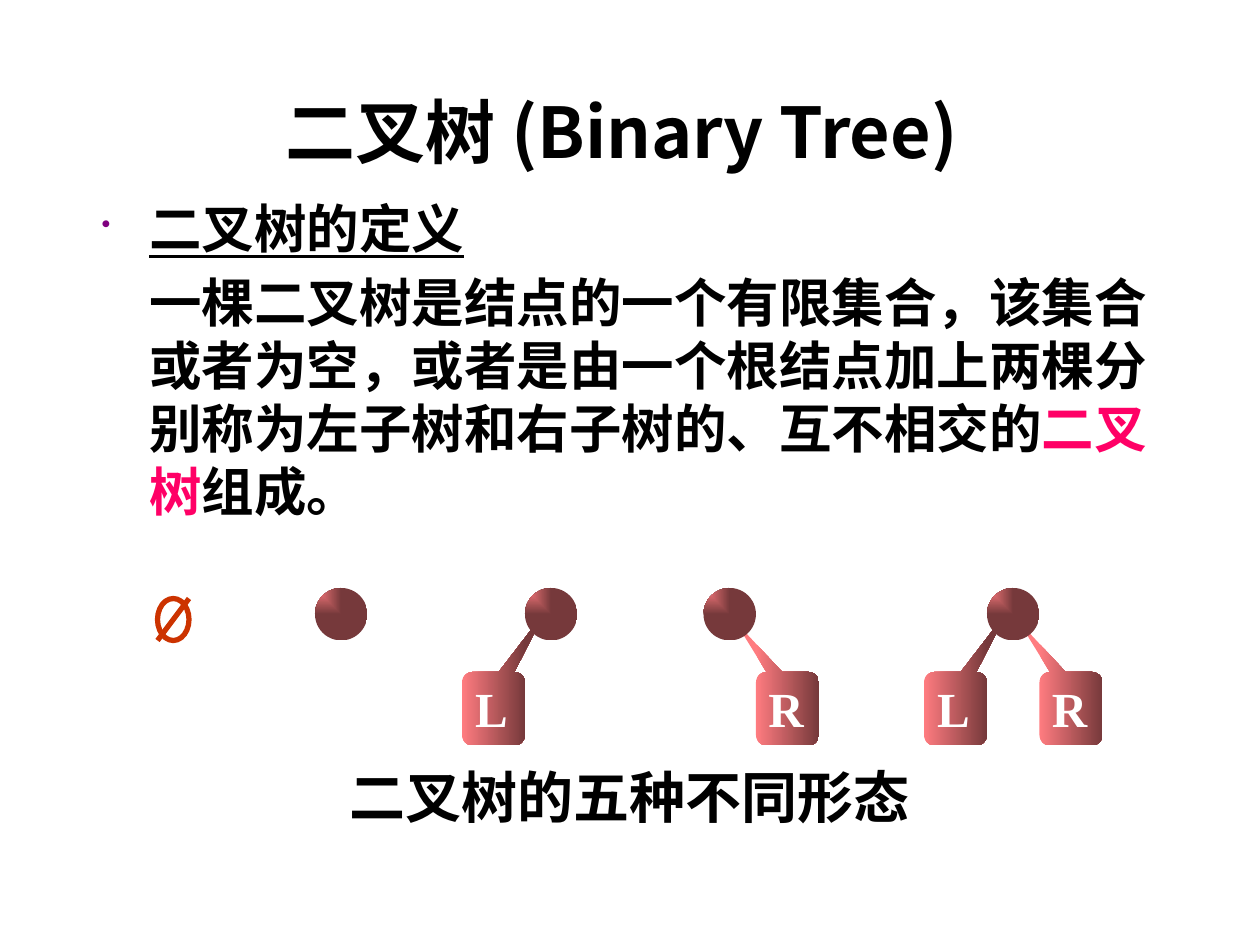
from lxml import etree
from pptx import Presentation
from pptx import util as u
from pptx.dml.color import RGBColor
from pptx.enum import shapes, text
from pptx.oxml import parse_xml
from pptx.oxml.ns import nsdecls, qn

BLACK = RGBColor(0x00, 0x00, 0x00)
WHITE = RGBColor(0xFF, 0xFF, 0xFF)
PINK = RGBColor(0xFF, 0x00, 0x66)
RUST = RGBColor(0xCC, 0x33, 0x00)
CORAL = RGBColor(0xFF, 0x7C, 0x80)
MAROON = RGBColor(0x76, 0x39, 0x3B)
SERIF, SANS = "Times New Roman", "Noto Sans CJK JP"

CELL = u.Inches(1) // 12  # the slide is a grid of 120 columns by 90 rows
ROOT_ROW, CHILD_ROW = 56, 64
ROOT_SIZE, CHILD_W, CHILD_H = 5, 6, 7

prs = Presentation()
prs.slide_width, prs.slide_height = 120 * CELL, 90 * CELL
s = prs.slides.add_slide(prs.slide_layouts[6])


def add_text(box, paragraphs, size, font=SERIF, **frame):
    """Add a text box; box is in cells, a paragraph is (format, [(text, font format)])."""
    tf = s.shapes.add_textbox(*(round(v * CELL) for v in box)).text_frame
    for name, value in {"word_wrap": True, **frame}.items():
        setattr(tf, name, value)
    for i, (layout, runs) in enumerate(paragraphs):
        p = tf.paragraphs[0] if i == 0 else tf.add_paragraph()
        for name, value in layout.items():
            setattr(p, name, value)
        for words, style in runs:
            r = p.add_run()
            r.text = words
            look = {"size": u.Pt(size), "name": font, "bold": True, **style}
            color = look.pop("color", BLACK)
            for name, value in look.items():
                setattr(r.font, name, value)
            r.font.color.rgb = color
            etree.SubElement(r.font._element, qn("a:ea"), typeface=SANS)
    return tf


def add_node(kind, col, row, width, height):
    """Add a coral-to-maroon tree node."""
    sp = s.shapes.add_shape(kind, col * CELL, row * CELL, width * CELL, height * CELL)
    sp.shadow.inherit = False
    sp.line.fill.background()
    sp.fill.gradient()
    sp.fill.gradient_angle = 0
    for stop, color in zip(sp.fill.gradient_stops, (CORAL, MAROON)):
        stop.color.rgb = color
    return sp


# Child subtrees: letter, column; the callout tip points to the root
TIPS = {"L": (0.819, -1.318, 0.167), "R": (-0.83, -1.188, 0.167)}
children = [("R", 99), ("R", 72), ("L", 88), ("L", 44)]
for letter, col in children:
    sp = add_node(shapes.MSO_SHAPE.ROUNDED_RECTANGULAR_CALLOUT,
                  col, CHILD_ROW, CHILD_W, CHILD_H)
    for i, value in enumerate(TIPS[letter]):
        sp.adjustments[i] = value

centred = {"alignment": text.PP_ALIGN.CENTER}
add_text((18, 72, 84, 7.5), [(centred, [("二叉树的五种不同形态", {})])], 32)

# Empty tree: a struck-through ellipse
empty = s.shapes.add_shape(shapes.MSO_SHAPE.OVAL, 15 * CELL, 57 * CELL, 3 * CELL, 4 * CELL)
empty.shadow.inherit = False
empty.fill.background()
slash = s.shapes.add_connector(shapes.MSO_CONNECTOR.STRAIGHT,
                               18 * CELL, 57 * CELL, 15 * CELL, 61 * CELL)
for stroke in (empty, slash):
    stroke.line.color.rgb = RUST
    stroke.line.width = u.Pt(3)
etree.SubElement(slash._element.spPr, qn("a:effectLst"))

# Roots: gradient spreading from the upper left corner
for col in (30, 50, 67, 94):
    sp = add_node(shapes.MSO_SHAPE.OVAL, col, ROOT_ROW, ROOT_SIZE, ROOT_SIZE)
    lin = sp._element.spPr.find(".//" + qn("a:lin"))
    lin.getparent().replace(lin, parse_xml(
        f'<a:path {nsdecls("a")} path="rect"><a:fillToRect r="100000" b="100000"/></a:path>'))

for letter, col in children:
    add_text((col, CHILD_ROW, 5.6, 6.8), [(centred, [(letter, {"color": WHITE})])], 28,
             word_wrap=False, vertical_anchor=text.MSO_ANCHOR.MIDDLE)

add_text((5.2, 5.8, 108, 13.2), [(centred, [("二叉树 (Binary Tree)", {})])], 40, SANS,
         vertical_anchor=text.MSO_ANCHOR.MIDDLE)

tf = add_text((8.5, 18.1, 104.4, 33.6), [
    ({}, [("二叉树的定义", {"underline": True})]),
    ({"space_before": u.Pt(6)}, [
        ("一棵二叉树是结点的一个有限集合，该集合或者为空，或者是由一个根结点加上"
         "两棵分别称为左子树和右子树的、互不相交的", {}),
        ("二叉树", {"color": PINK}),
        ("组成。", {})]),
], 30)
indent = u.Inches(0.38)
for p, first in zip(tf.paragraphs, (-indent, 0)):
    pPr = p._p.get_or_add_pPr()
    pPr.set("marL", str(indent))
    pPr.set("indent", str(first))
pPr = tf.paragraphs[0]._p.pPr
color = etree.SubElement(pPr, qn("a:buClr"))
etree.SubElement(color, qn("a:srgbClr"), val="800080")
etree.SubElement(pPr, qn("a:buSzPct"), val="50000")
etree.SubElement(pPr, qn("a:buChar"), char="•")

prs.save("out.pptx")
